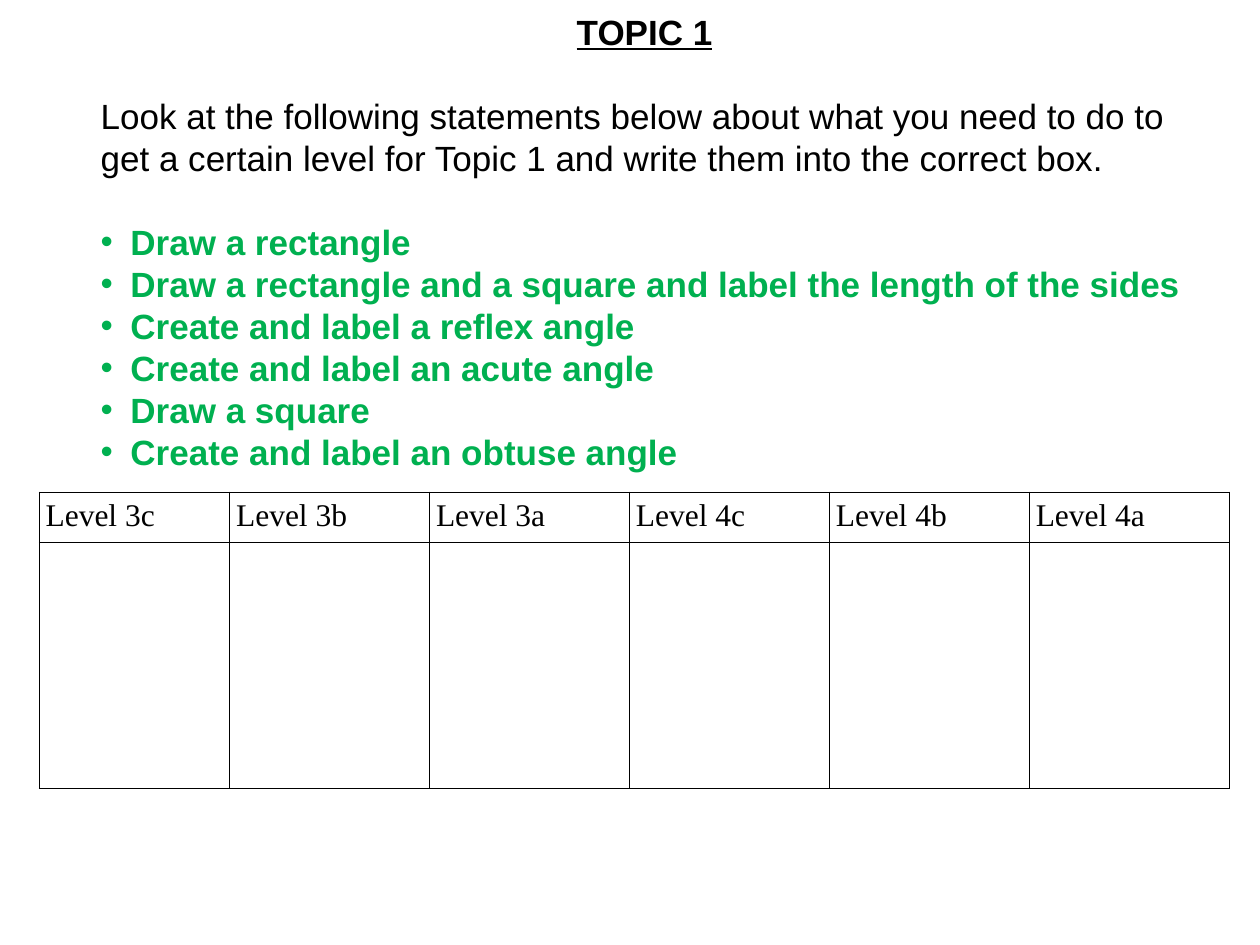
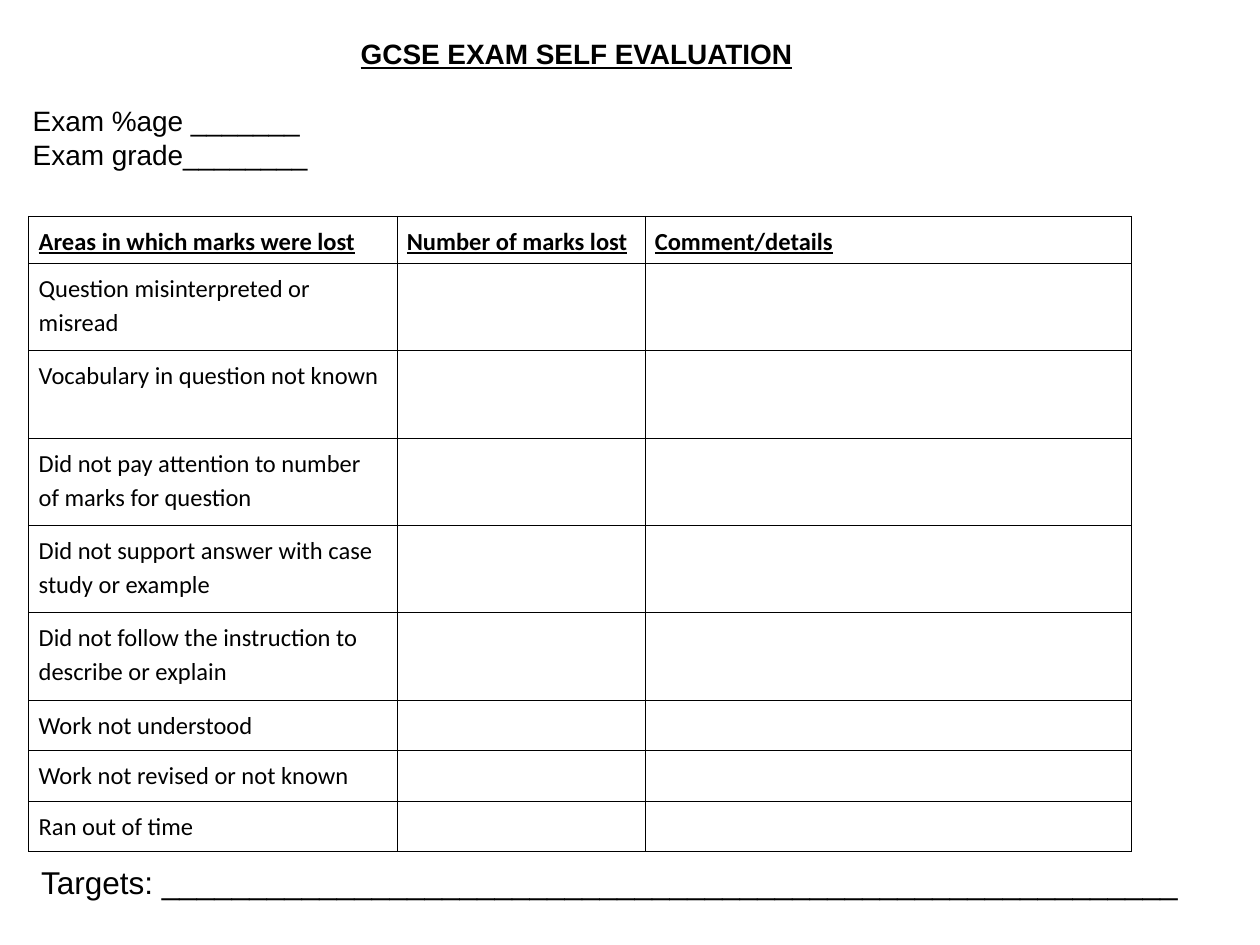
"""Build two worksheet slides: sorting level statements and an exam self evaluation."""
from lxml.etree import SubElement
from pptx import Presentation
from pptx.dml.color import RGBColor
from pptx.enum.text import MSO_ANCHOR, MSO_AUTO_SIZE, PP_ALIGN
from pptx.oxml.ns import qn
from pptx.util import Cm, Pt

BLACK = RGBColor(0x00, 0x00, 0x00)
GREEN = RGBColor(0x00, 0xB0, 0x50)
BODY_FONT = "Arial"
BORDER_WIDTH = Pt(0.45)
TEXT_WIDTH = 22.43

LEVELS = ["Level 3c", "Level 3b", "Level 3a", "Level 4c", "Level 4b", "Level 4a"]
INSTRUCTION = (
    "Look at the following statements below about what you need to do to get a "
    "certain level for Topic 1 and write them into the correct box."
)
STATEMENTS = [
    "Draw a rectangle",
    "Draw a rectangle and a square and label the length of the sides",
    "Create and label a reflex angle",
    "Create and label an acute angle",
    "Draw a square",
    "Create and label an obtuse angle",
]
EVALUATION_HEADINGS = [
    "Areas in which marks were lost",
    "Number of marks lost",
    "Comment/details",
]
LONG_REASONS = [
    "Question misinterpreted or misread",
    "Vocabulary in question not known",
    "Did not pay attention to number of marks for question",
    "Did not support answer with case study or example",
    "Did not follow the instruction to describe or explain",
]
SHORT_REASONS = [
    "Work not understood",
    "Work not revised or not known",
    "Ran out of time",
]


def style(paragraph, size, font_name=BODY_FONT, color=BLACK, heading=False):
    """Set the font of a paragraph; headings are bold and underlined."""
    font = paragraph.font
    font.name, font.size = font_name, Pt(size)
    font.bold = font.underline = heading
    font.color.rgb = color


def place_title(slide, text, box, size, pitch):
    """Place the centred, underlined slide title."""
    title = slide.shapes.title
    title.left, title.top, title.width, title.height = map(Cm, box)
    frame = title.text_frame
    frame.text = text
    frame.auto_size = MSO_AUTO_SIZE.NONE
    frame.vertical_anchor = MSO_ANCHOR.TOP
    heading = frame.paragraphs[0]
    heading.alignment = PP_ALIGN.CENTER
    heading.line_spacing = Pt(pitch)
    style(heading, size, heading=True)


def add_lines(slide, lines, box, size, pitch=None):
    """Add a text box with one paragraph per line and return its paragraphs."""
    frame = slide.shapes.add_textbox(*map(Cm, box)).text_frame
    frame.word_wrap = True
    frame.text = "\n".join(lines)
    for paragraph in frame.paragraphs:
        if pitch:
            paragraph.line_spacing = Pt(pitch)
        style(paragraph, size)
    return frame.paragraphs


def add_bullet(paragraph, color, indent):
    """Give a paragraph a coloured, hanging round bullet."""
    properties = paragraph._p.get_or_add_pPr()
    properties.set("marL", str(Cm(indent)))
    properties.set("indent", str(-Cm(indent)))
    bullet_color = SubElement(properties, qn("a:buClr"))
    SubElement(bullet_color, qn("a:srgbClr"), val=str(color))
    SubElement(properties, qn("a:buFont"), typeface=BODY_FONT)
    SubElement(properties, qn("a:buChar"), char="•")


def add_statements(slide, statements, box, size, pitch):
    """Add the bulleted list of statements in bold green."""
    frame = slide.shapes.add_textbox(*map(Cm, box)).text_frame
    frame.word_wrap = True
    frame.text = "\n".join(statements)
    for paragraph in frame.paragraphs:
        add_bullet(paragraph, GREEN, 0.6)
        paragraph.line_spacing = Pt(pitch)
        style(paragraph, size, color=GREEN)
        paragraph.font.bold = True


def outline_cell(cell):
    """Clear the cell fill and draw thin black borders."""
    properties = cell._tc.get_or_add_tcPr()
    for side in ("a:lnL", "a:lnR", "a:lnT", "a:lnB"):
        line = SubElement(properties, qn(side), w=str(BORDER_WIDTH))
        fill = SubElement(line, qn("a:solidFill"))
        SubElement(fill, qn("a:srgbClr"), val=str(BLACK))
    cell.fill.background()


def add_grid(slide, rows, origin, widths, heights, side_margin):
    """Add an outlined table and return it; missing cells stay empty."""
    left, top = origin
    table = slide.shapes.add_table(
        len(heights), len(widths), Cm(left), Cm(top), Cm(sum(widths)), Cm(sum(heights))
    ).table
    table.first_row = table.horz_banding = False
    for column, width in zip(table.columns, widths):
        column.width = Cm(width)
    for row, height in zip(table.rows, heights):
        row.height = Cm(height)
    for cell in table.iter_cells():
        cell.margin_left = cell.margin_right = Cm(side_margin)
        outline_cell(cell)
    for row, texts in zip(table.rows, rows):
        for cell, text in zip(row.cells, texts):
            cell.text = text
    return table


def build_topic(slide):
    """Build the slide that sorts statements into levels."""
    left, size, pitch = 1.78, 20, 24
    place_title(slide, "TOPIC 1", (left, 0.08, TEXT_WIDTH, 1.1), size, pitch)
    add_lines(slide, [INSTRUCTION], (left, 1.78, TEXT_WIDTH, 1.95), size, pitch)
    add_statements(slide, STATEMENTS, (left, 4.32, TEXT_WIDTH, 5.33), size, pitch)
    widths = [3.84] + [4.03] * 5
    table = add_grid(slide, [LEVELS], (0.79, 9.92), widths, [1.01, 4.95], 0.13)
    for cell in table.rows[0].cells:
        style(cell.text_frame.paragraphs[0], 18, "Times New Roman")


def build_evaluation(slide):
    """Build the exam self evaluation form."""
    left, size, pitch = 0.41, 16, 19.4
    place_title(
        slide, "GCSE EXAM SELF EVALUATION", (left, 0.61, TEXT_WIDTH, 0.95), size, pitch
    )
    results = ["Exam %age " + "_" * 7, "Exam grade" + "_" * 8]
    add_lines(slide, results, (left, 1.96, TEXT_WIDTH, 1.63), size, pitch)

    rows = [EVALUATION_HEADINGS] + [[reason] for reason in LONG_REASONS + SHORT_REASONS]
    heights = [0.95] + [1.76] * len(LONG_REASONS) + [1.02] * len(SHORT_REASONS)
    table = add_grid(slide, rows, (0.58, 4.36), [7.42, 5, 9.8], heights, 0.2)
    for number, (row, texts) in enumerate(zip(table.rows, rows)):
        for cell, _ in zip(row.cells, texts):
            paragraph = cell.text_frame.paragraphs[0]
            paragraph.line_spacing = 1.15
            style(paragraph, 14, "Calibri", heading=number == 0)

    add_lines(slide, ["Targets: " + "_" * 58], (0.58, 17.27, 23.62, 1.02), 18)


def main():
    """Create the presentation and save it."""
    presentation = Presentation()
    presentation.slide_width, presentation.slide_height = Cm(25.4), Cm(19.05)
    title_only = presentation.slide_layouts[5]
    for build in (build_topic, build_evaluation):
        build(presentation.slides.add_slide(title_only))
    presentation.save("out.pptx")


if __name__ == "__main__":
    main()
